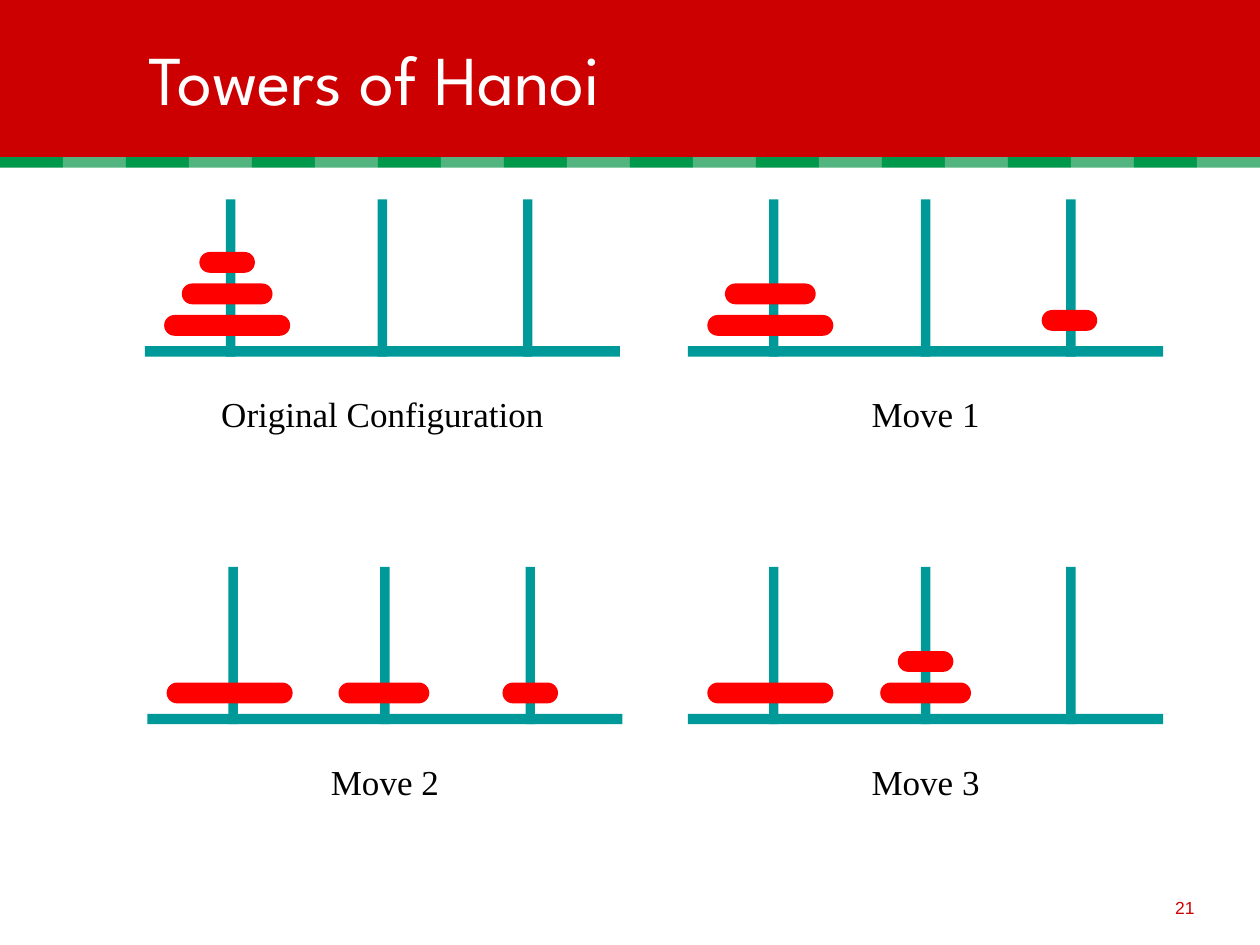
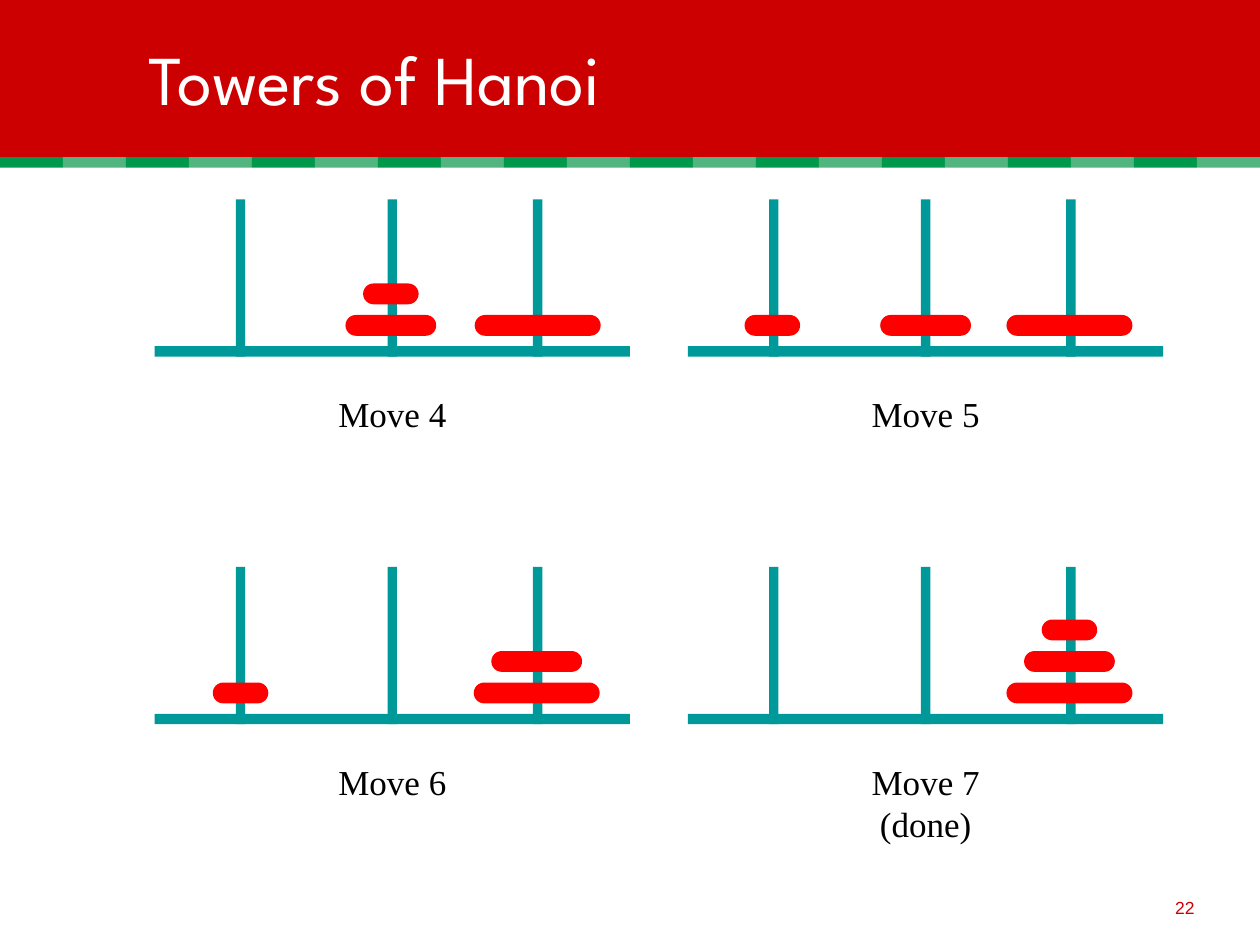
import dataclasses

import pptx
import pptx.dml.color
import pptx.enum.shapes
import pptx.enum.text
import pptx.util

Cm = pptx.util.Cm
RGBColor = pptx.dml.color.RGBColor
SHAPE = pptx.enum.shapes.MSO_SHAPE
ALIGN = pptx.enum.text.PP_ALIGN
ANCHOR = pptx.enum.text.MSO_ANCHOR

RED = RGBColor(0xCC, 0x00, 0x00)
WHITE = RGBColor(0xFF, 0xFF, 0xFF)
BLACK = RGBColor(0x00, 0x00, 0x00)
TEAL = RGBColor(0x00, 0x99, 0x99)
DISK_RED = RGBColor(0xFF, 0x00, 0x00)
STRIPE_GREENS = (RGBColor(0x00, 0x98, 0x4A), RGBColor(0x52, 0xB4, 0x7E))

SLIDE_WIDTH, SLIDE_HEIGHT = 25.4, 19.05
BAND_HEIGHT = 3.17
STRIPE_WIDTH = 1.27
BAR = 0.21

BASE_WIDTH, BASE_DROP = 9.58, 2.96
PEG_WIDTH, PEG_HEIGHT = 0.19, 3.17
PEG_CENTRES = (1.73, 4.79, 7.72)
DISK_HEIGHT, DISK_PITCH, LOWEST_DISK = 0.42, 0.635, 2.33
CAPTION_DROP, CAPTION_HEIGHT = 3.77, 1.12

SMALL, MEDIUM, LARGE = 1.12, 1.83, 2.54
UPPER, LOWER = 4.02, 11.43
RIGHT = 13.87


@dataclasses.dataclass
class Board:
    """One configuration: disks are listed per peg, from the bottom up."""
    caption: str
    left: float
    top: float
    stacks: tuple
    shifts: tuple = (0, 0, 0)
    lifts: tuple = (0, 0, 0)
    caption_width: float = 2.69


class Deck:
    """Holds the shared style and the current slide."""

    def __init__(self):
        self.show = pptx.Presentation()
        self.show.slide_width = Cm(SLIDE_WIDTH)
        self.show.slide_height = Cm(SLIDE_HEIGHT)
        self.shapes = None

    def slide(self, title, number):
        """Start a slide with its band, stripes, title and number."""
        slide = self.show.slides.add_slide(self.show.slide_layouts[6])
        self.shapes = slide.shapes
        self.block(self.shapes, 0, 0, SLIDE_WIDTH, BAND_HEIGHT, RED)
        stripes = self.shapes.add_group_shape().shapes
        for i in range(round(SLIDE_WIDTH / STRIPE_WIDTH)):
            self.block(stripes, i * STRIPE_WIDTH, BAND_HEIGHT, STRIPE_WIDTH, BAR,
                       STRIPE_GREENS[i % 2])
        self.text(self.shapes, title, 2.74, 0.61, 22.02, 1.9, size=40,
                  font="League Spartan", color=WHITE, anchor=ANCHOR.MIDDLE)
        self.text(self.shapes, str(number), 19.05, 17.58, 5.28, 1.06, size=10,
                  font="Arial", color=RED, align=ALIGN.RIGHT, anchor=ANCHOR.BOTTOM)

    def block(self, shapes, left, top, width, height, color, rounded=False):
        """Add a plain filled rectangle, with fully rounded ends if asked."""
        kind = SHAPE.ROUNDED_RECTANGLE if rounded else SHAPE.RECTANGLE
        block = shapes.add_shape(kind, Cm(left), Cm(top), Cm(width), Cm(height))
        block.shadow.inherit = False
        block.fill.solid()
        block.fill.fore_color.rgb = color
        block.line.fill.background()
        if rounded:
            block.adjustments[0] = 0.5

    def text(self, shapes, words, left, top, width, height, *, size, font, color,
             align=ALIGN.LEFT, anchor=ANCHOR.TOP, wrap=True):
        """Add one line of formatted text."""
        box = shapes.add_textbox(Cm(left), Cm(top), Cm(width), Cm(height))
        frame = box.text_frame
        frame.word_wrap = wrap
        frame.vertical_anchor = anchor
        paragraph = frame.paragraphs[0]
        paragraph.alignment = align
        run = paragraph.add_run()
        run.text = words
        run.font.size = pptx.util.Pt(size)
        run.font.name = font
        run.font.color.rgb = color

    def board(self, board):
        """Draw base, pegs, disks and caption as one group."""
        group = self.shapes.add_group_shape().shapes
        left, top = board.left, board.top
        self.block(group, left, top + BASE_DROP, BASE_WIDTH, BAR, TEAL)
        for centre, disks, shift, lift in zip(PEG_CENTRES, board.stacks,
                                              board.shifts, board.lifts):
            self.block(group, left + centre - PEG_WIDTH / 2, top,
                       PEG_WIDTH, PEG_HEIGHT, TEAL)
            for level, width in enumerate(disks):
                self.block(group, left + centre + shift - width / 2,
                           top + LOWEST_DISK - lift - level * DISK_PITCH,
                           width, DISK_HEIGHT, DISK_RED, rounded=True)
        self.text(group, board.caption,
                  left + (BASE_WIDTH - board.caption_width) / 2, top + CAPTION_DROP,
                  board.caption_width, CAPTION_HEIGHT, size=20,
                  font="Times New Roman", color=BLACK, align=ALIGN.CENTER, wrap=False)


SLIDES = {
    21: (
        Board("Original Configuration", 2.92, UPPER,
              ((LARGE, MEDIUM, SMALL), (), ()), (-0.07, 0, 0), caption_width=7.01),
        Board("Move 1", RIGHT, UPPER, ((LARGE, MEDIUM), (), (SMALL,)),
              (-0.07, 0, -0.03), (0, 0, 0.1)),
        Board("Move 3", RIGHT, LOWER, ((LARGE,), (MEDIUM, SMALL), ()), (-0.07, 0, 0)),
        Board("Move 2", 2.97, LOWER, ((LARGE,), (MEDIUM,), (SMALL,)),
              (-0.07, -0.02, 0)),
    ),
    22: (
        Board("Move 4", 3.12, UPPER, ((), (MEDIUM, SMALL), (LARGE,)), (0, -0.03, 0)),
        Board("Move 5", RIGHT, UPPER, ((SMALL,), (MEDIUM,), (LARGE,)),
              (-0.03, 0, -0.03)),
        Board("Move 6", 3.12, LOWER, ((SMALL,), (), (LARGE, MEDIUM)), (0, 0, -0.02)),
        Board("Move 7 (done)", RIGHT, LOWER, ((), (), (LARGE, MEDIUM, SMALL)),
              (0, 0, -0.03), caption_width=4.7),
    ),
}


def main():
    deck = Deck()
    for number, boards in SLIDES.items():
        deck.slide("Towers of Hanoi", number)
        for board in boards:
            deck.board(board)
    deck.show.save("out.pptx")


if __name__ == "__main__":
    main()
